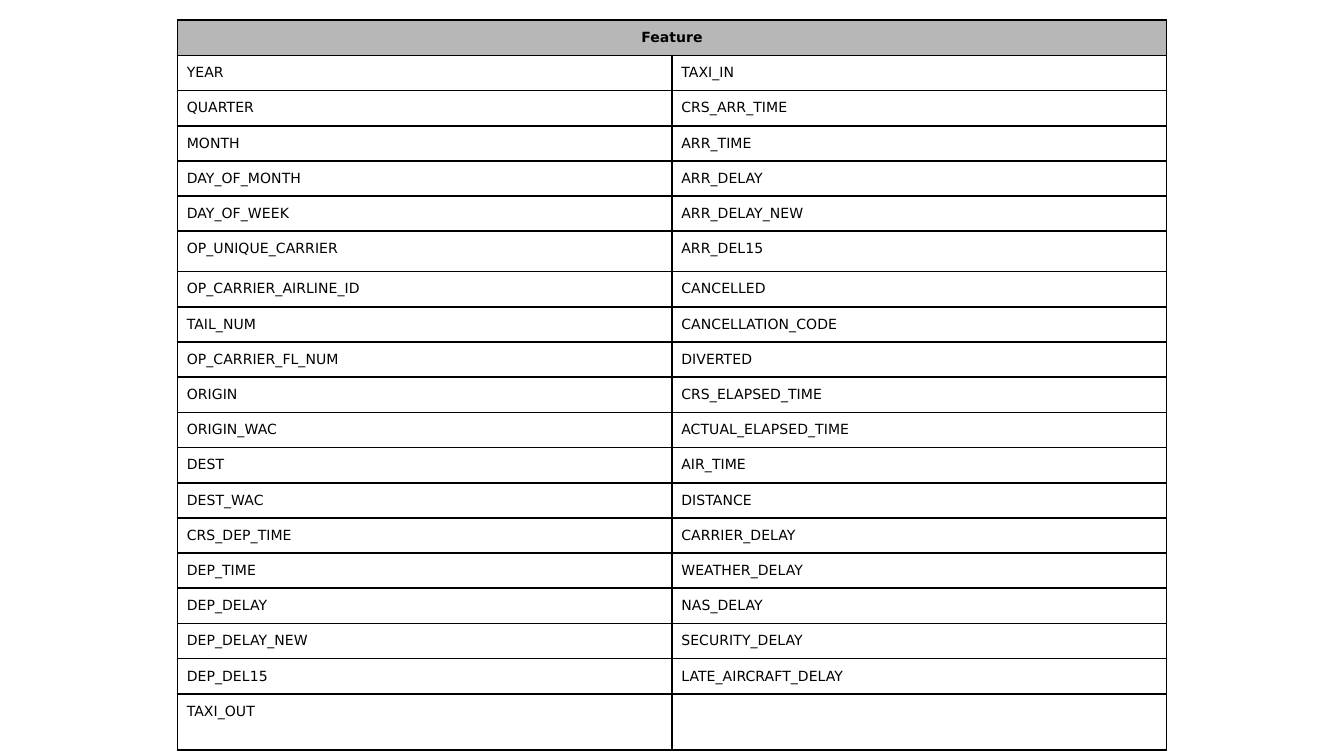
from pptx import Presentation
from pptx.dml.color import RGBColor
from pptx.enum.text import PP_ALIGN
from pptx.oxml import parse_xml
from pptx.oxml.ns import nsdecls
from pptx.util import Inches, Pt

BLACK = RGBColor(0x00, 0x00, 0x00)
WHITE = RGBColor(0xFF, 0xFF, 0xFF)
GRAY = RGBColor(0xB7, 0xB7, 0xB7)

FEATURES = [
    ("YEAR", "TAXI_IN"),
    ("QUARTER", "CRS_ARR_TIME"),
    ("MONTH", "ARR_TIME"),
    ("DAY_OF_MONTH", "ARR_DELAY"),
    ("DAY_OF_WEEK", "ARR_DELAY_NEW"),
    ("OP_UNIQUE_CARRIER", "ARR_DEL15"),
    ("OP_CARRIER_AIRLINE_ID", "CANCELLED"),
    ("TAIL_NUM", "CANCELLATION_CODE"),
    ("OP_CARRIER_FL_NUM", "DIVERTED"),
    ("ORIGIN", "CRS_ELAPSED_TIME"),
    ("ORIGIN_WAC", "ACTUAL_ELAPSED_TIME"),
    ("DEST", "AIR_TIME"),
    ("DEST_WAC", "DISTANCE"),
    ("CRS_DEP_TIME", "CARRIER_DELAY"),
    ("DEP_TIME", "WEATHER_DELAY"),
    ("DEP_DELAY", "NAS_DELAY"),
    ("DEP_DELAY_NEW", "SECURITY_DELAY"),
    ("DEP_DEL15", "LATE_AIRCRAFT_DELAY"),
    ("TAXI_OUT", ""),
]
SLIDE_WIDTH = 10
ROW_HEIGHT = 0.26
TALL_ROWS = {6: 0.3, len(FEATURES): 0.42}


class FeatureSlide:
    font_name = "DejaVu Sans"
    font_size = Pt(7.5)
    inset = Inches(0.07)
    border_width = Pt(1)

    def __init__(self, deck):
        self.page = deck.slides.add_slide(deck.slide_layouts[6])

    def add_table(self, left, top, column_width, heights):
        frame = self.page.shapes.add_table(
            len(heights), 2, Inches(left), Inches(top),
            Inches(2 * column_width), Inches(sum(heights)))
        table = frame.table
        table.first_row = table.horz_banding = False
        for column in table.columns:
            column.width = Inches(column_width)
        for row, height in zip(table.rows, heights):
            row.height = Inches(height)
        return table

    def fill_cell(self, cell, text, fill=WHITE, bold=False, align=PP_ALIGN.LEFT):
        cell.margin_left = cell.margin_right = self.inset
        cell.margin_top = cell.margin_bottom = self.inset
        cell.text = text
        para = cell.text_frame.paragraphs[0]
        para.alignment = align
        para.font.name = self.font_name
        para.font.size = self.font_size
        para.font.bold = bold
        para.font.color.rgb = BLACK
        self.add_borders(cell)
        cell.fill.solid()
        cell.fill.fore_color.rgb = fill

    def add_borders(self, cell):
        properties = cell._tc.get_or_add_tcPr()
        for side in ("lnL", "lnR", "lnT", "lnB"):
            properties.append(parse_xml(
                f'<a:{side} {nsdecls("a")} w="{self.border_width}"><a:solidFill>'
                f'<a:srgbClr val="{BLACK}"/></a:solidFill></a:{side}>'))


def main():
    # Widescreen page, 16:9
    deck = Presentation()
    deck.slide_width = Inches(SLIDE_WIDTH)
    deck.slide_height = Inches(SLIDE_WIDTH * 9 / 16)
    slide = FeatureSlide(deck)

    # Table grid
    heights = [TALL_ROWS.get(row, ROW_HEIGHT) for row in range(len(FEATURES) + 1)]
    table = slide.add_table(1.32, 0.15, 3.68, heights)

    # Header across both columns
    table.cell(0, 0).merge(table.cell(0, 1))
    slide.fill_cell(table.cell(0, 0), "Feature", GRAY, True, PP_ALIGN.CENTER)
    slide.add_borders(table.cell(0, 1))

    # Feature names
    for row, names in enumerate(FEATURES, start=1):
        for column, name in enumerate(names):
            slide.fill_cell(table.cell(row, column), name)

    deck.save("out.pptx")


if __name__ == "__main__":
    main()
